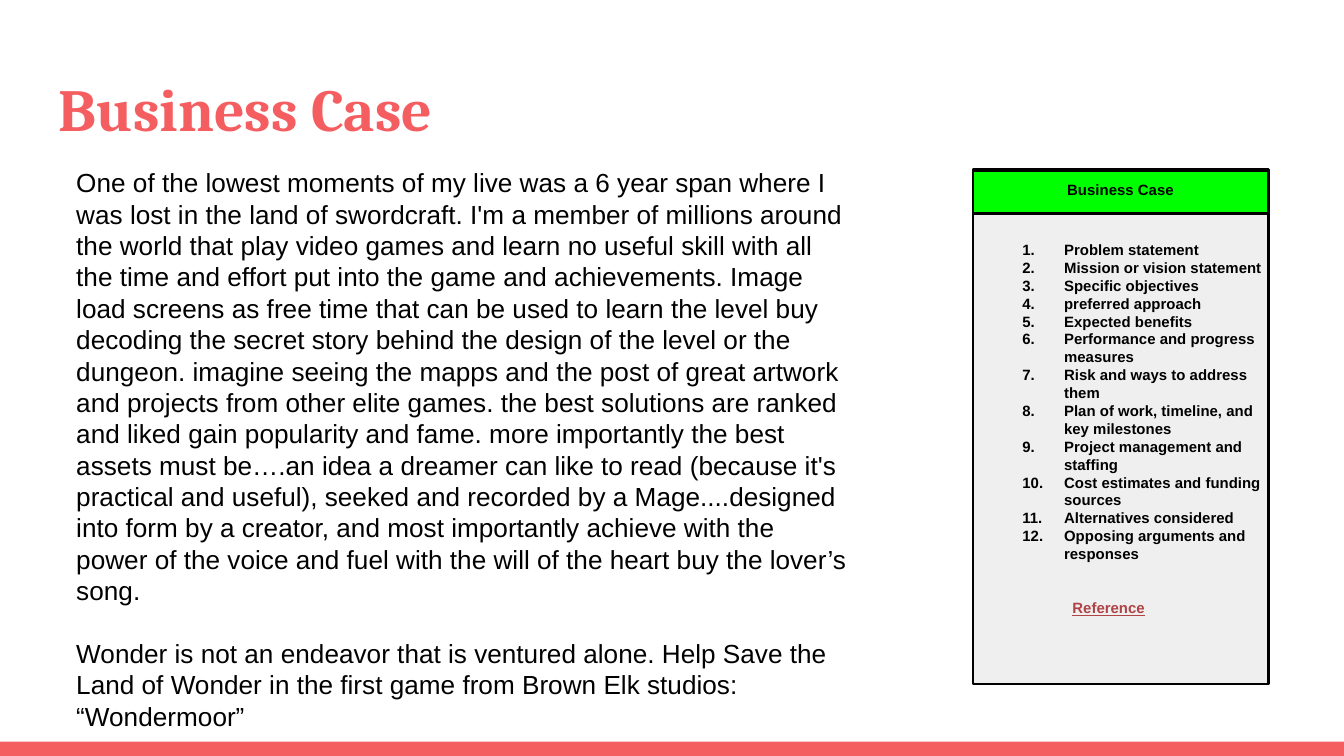
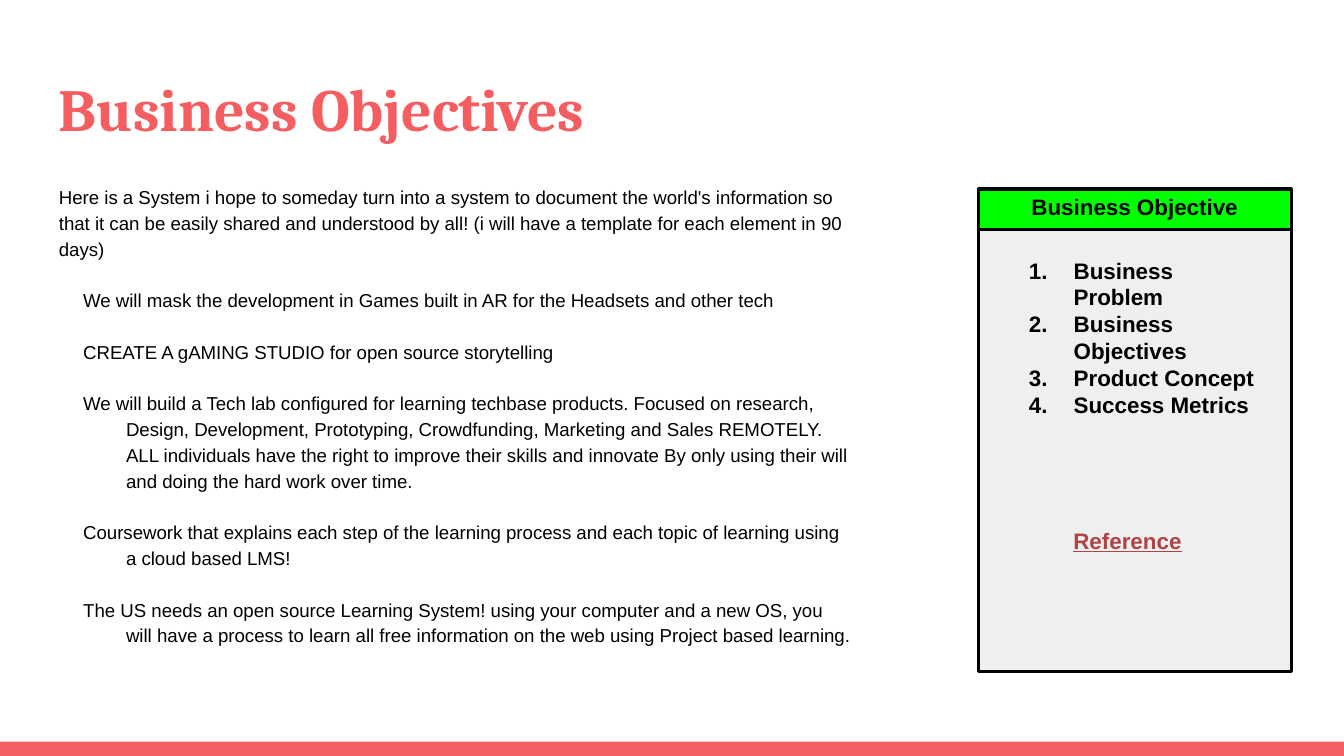
"""Build the business case and business objectives slides."""
from lxml.etree import SubElement
from pptx import Presentation
from pptx.dml.color import RGBColor
from pptx.enum.shapes import MSO_SHAPE as Shape
from pptx.enum.text import MSO_ANCHOR as Anchor, PP_ALIGN as Align
from pptx.oxml.ns import qn
from pptx.util import Pt

CORAL = RGBColor(0xF5, 0x5E, 0x61)
BRICK = RGBColor(0xAF, 0x43, 0x45)
GREEN = RGBColor(0x00, 0xFF, 0x00)
PALE = RGBColor(0xEF, 0xEF, 0xEF)
BLACK = RGBColor(0x00, 0x00, 0x00)

WIDTH, HEIGHT = 720, 405
BAND = (0, 397.4, WIDTH, HEIGHT - 397.4)
TITLE = (24.5, 31, 671, 49)
INSET = 7.2
HANG = 36

TITLE_FONT = {"name": "Cambria", "size": Pt(32), "bold": True}

SLIDES = [
    {
        "title": "Business Case",
        "body": {
            "box": (33.8, 82.1, 429.1, 261.4),
            "size": 14,
            "spacing": 1.0,
            "gap": 16.8,
            "hang": None,
            "paragraphs": [
                [
                    "One of the lowest moments of my live was a 6 year span where I was lost "
                    "in the land of swordcraft.",
                    "I'm a member of millions around the world that play video games and learn "
                    "no useful skill with all the time and effort put into the game and "
                    "achievements.",
                    "Image load screens as free time that can be used to learn the level buy "
                    "decoding the secret story behind the design of the level or the dungeon.",
                    "imagine seeing the mapps and the post of great artwork and projects from "
                    "other elite games.",
                    "the best solutions are ranked and liked gain popularity and fame.",
                    "more importantly the best assets must be….an idea a dreamer can like to "
                    "read (because it's practical and useful), seeked and recorded by a "
                    "Mage....designed into form by a creator, and most importantly achieve "
                    "with the power of the voice and fuel with the will of the heart buy the "
                    "lover’s song.",
                ],
                [
                    "Wonder is not an endeavor that is ventured alone.",
                    "Help Save the Land of Wonder in the first game from Brown Elk studios: "
                    "“Wondermoor”",
                ],
            ],
        },
        "panel": {
            "box": (521.3, 90.7, 158.4, 275.8),
            "heading": "Business Case",
            "heading_height": 23,
            "heading_text": (92.2, 21.6),
            "size": 8,
            "list_box": (527, 121.7, 158.4, 221.8),
            "indent": -22.3,
            "items": [
                "Problem statement",
                "Mission or vision statement",
                "Specific objectives",
                "preferred approach",
                "Expected benefits",
                "Performance and progress measures",
                "Risk and ways to address them",
                "Plan of work, timeline, and key milestones",
                "Project management and staffing",
                "Cost estimates and funding sources",
                "Alternatives considered",
                "Opposing arguments and responses",
            ],
            "reference_box": (567.4, 316.1, 56.9, 29.5),
            "reference_align": Align.LEFT,
        },
    },
    {
        "title": "Business Objectives",
        "body": {
            "box": (24.5, 90.7, 439.2, 269.3),
            "size": 10,
            "spacing": 1.15,
            "gap": 13.8,
            "hang": -23,
            "paragraphs": [
                [
                    "Here is a System i hope to someday turn into a system to document the "
                    "world's information so that it can be easily shared and understood by all!",
                    "(i will have a template for each element in 90 days)",
                ],
                ["We will mask the development in Games built in AR for the Headsets and "
                 "other tech"],
                ["CREATE A gAMING STUDIO for open source storytelling"],
                [
                    "We will build a Tech lab configured for learning techbase products.",
                    "Focused on research, Design, Development, Prototyping, Crowdfunding, "
                    "Marketing and Sales REMOTELY.",
                    "ALL individuals have the right to improve their skills and innovate By "
                    "only using their will and doing the hard work over time.",
                ],
                ["Coursework that explains each step of the learning process and each topic "
                 "of learning using a cloud based LMS!"],
                [
                    "The US needs an open source Learning System!",
                    "using your computer and a new OS, you will have a process to learn all "
                    "free information on the web using Project based learning.",
                ],
            ],
        },
        "panel": {
            "box": (524.2, 100.8, 167.8, 259.2),
            "heading": "Business Objective",
            "heading_height": 21.6,
            "heading_text": (96.5, 32.4),
            "size": 12,
            "list_box": (532.1, 130.3, 152.6, 218.9),
            "indent": -24,
            "items": [
                "Business Problem",
                "Business Objectives",
                "Product Concept",
                "Success Metrics",
            ],
            "reference_box": (559.4, 275, 89.3, 27.4),
            "reference_align": Align.CENTER,
        },
    },
]


def apply(target, values):
    for key, value in values.items():
        setattr(target, key, value)


def add_rect(slide, box, fill, outlined=False):
    rect = slide.shapes.add_shape(Shape.RECTANGLE, *map(Pt, box))
    rect.shadow.inherit = False
    rect.fill.solid()
    rect.fill.fore_color.rgb = fill
    if outlined:
        rect.line.color.rgb = BLACK
        rect.line.width = Pt(1.5)
    else:
        rect.line.fill.background()


def add_text(slide, box, paragraphs, font, color=BLACK, layout=None, gap=0):
    frame = slide.shapes.add_textbox(*map(Pt, box)).text_frame
    margins = {f"margin_{side}": Pt(INSET) for side in ("left", "top", "right", "bottom")}
    apply(frame, {"word_wrap": True, "vertical_anchor": Anchor.TOP, **margins})
    for index, text in enumerate(paragraphs):
        paragraph = frame.paragraphs[0] if index == 0 else frame.add_paragraph()
        apply(paragraph, layout or {})
        if index and gap:
            paragraph.space_before = Pt(gap)
        run = paragraph.add_run()
        run.text = text
        apply(run.font, font)
        run.font.color.rgb = color
    return frame.paragraphs


def hang(paragraph, indent, numbered=False):
    properties = paragraph._p.get_or_add_pPr()
    properties.set("marL", str(Pt(HANG)))
    properties.set("indent", str(Pt(indent)))
    if numbered:
        SubElement(properties, qn("a:buAutoNum"), type="arabicPeriod")


def add_body(slide, body):
    font = {"name": "Arial", "size": Pt(body["size"])}
    layout = {"line_spacing": body["spacing"]}
    texts = [" ".join(sentences) for sentences in body["paragraphs"]]
    paragraphs = add_text(slide, body["box"], texts, font, layout=layout, gap=body["gap"])
    if body["hang"]:
        for paragraph in paragraphs[1:]:
            hang(paragraph, body["hang"])


def add_panel(slide, panel):
    left, top, width, _ = panel["box"]
    text_top, text_height = panel["heading_text"]
    font = {"name": "Arial", "size": Pt(panel["size"]), "bold": True}
    add_rect(slide, panel["box"], PALE, outlined=True)
    add_rect(slide, (left, top + 0.7, width, panel["heading_height"]), GREEN, outlined=True)
    add_text(slide, (left - 2, text_top, width + 3.6, text_height), [panel["heading"]], font,
             layout={"alignment": Align.CENTER})
    for paragraph in add_text(slide, panel["list_box"], panel["items"], font):
        hang(paragraph, panel["indent"], numbered=True)
    add_text(slide, panel["reference_box"], ["Reference"], {**font, "underline": True}, BRICK,
             layout={"alignment": panel["reference_align"]})


def main():
    deck = Presentation()
    apply(deck, {"slide_width": Pt(WIDTH), "slide_height": Pt(HEIGHT)})
    for content in SLIDES:
        slide = deck.slides.add_slide(deck.slide_layouts[6])
        add_rect(slide, BAND, CORAL)
        add_text(slide, TITLE, [content["title"]], TITLE_FONT, CORAL)
        add_body(slide, content["body"])
        add_panel(slide, content["panel"])
    deck.save("out.pptx")


if __name__ == "__main__":
    main()
